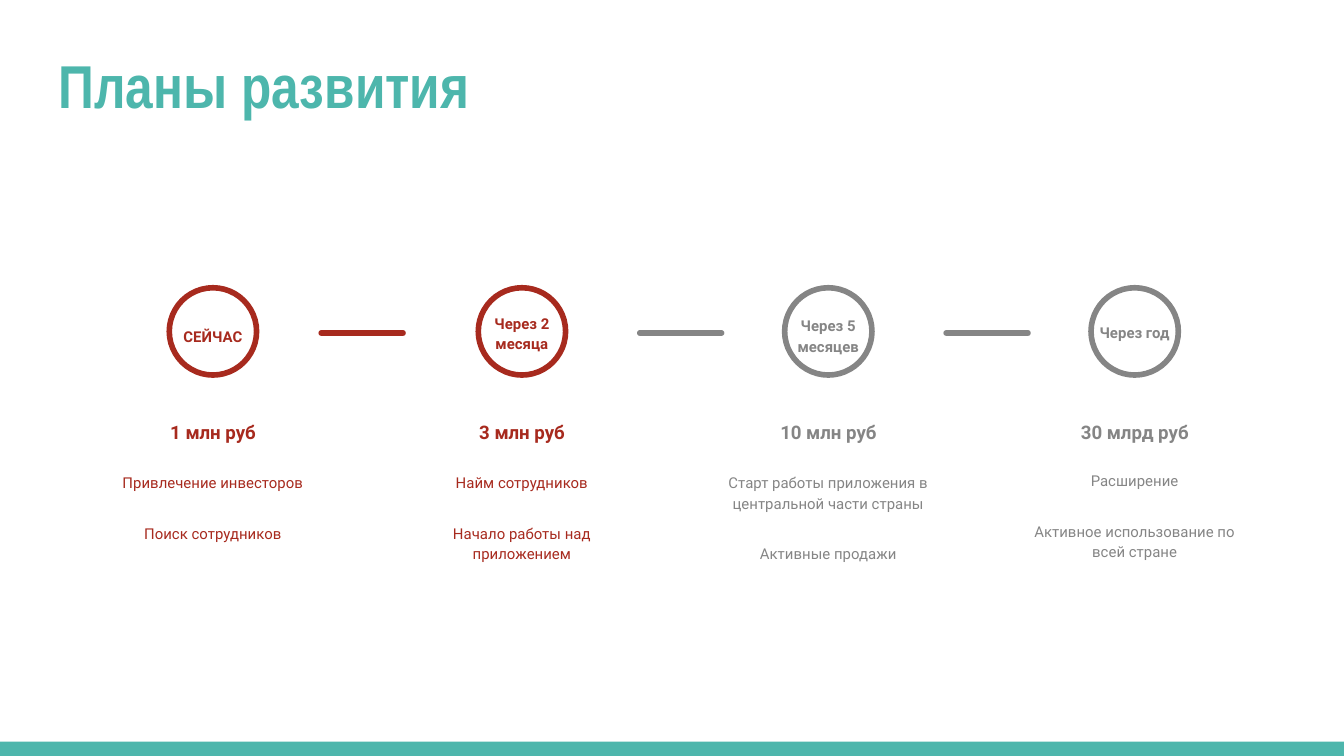
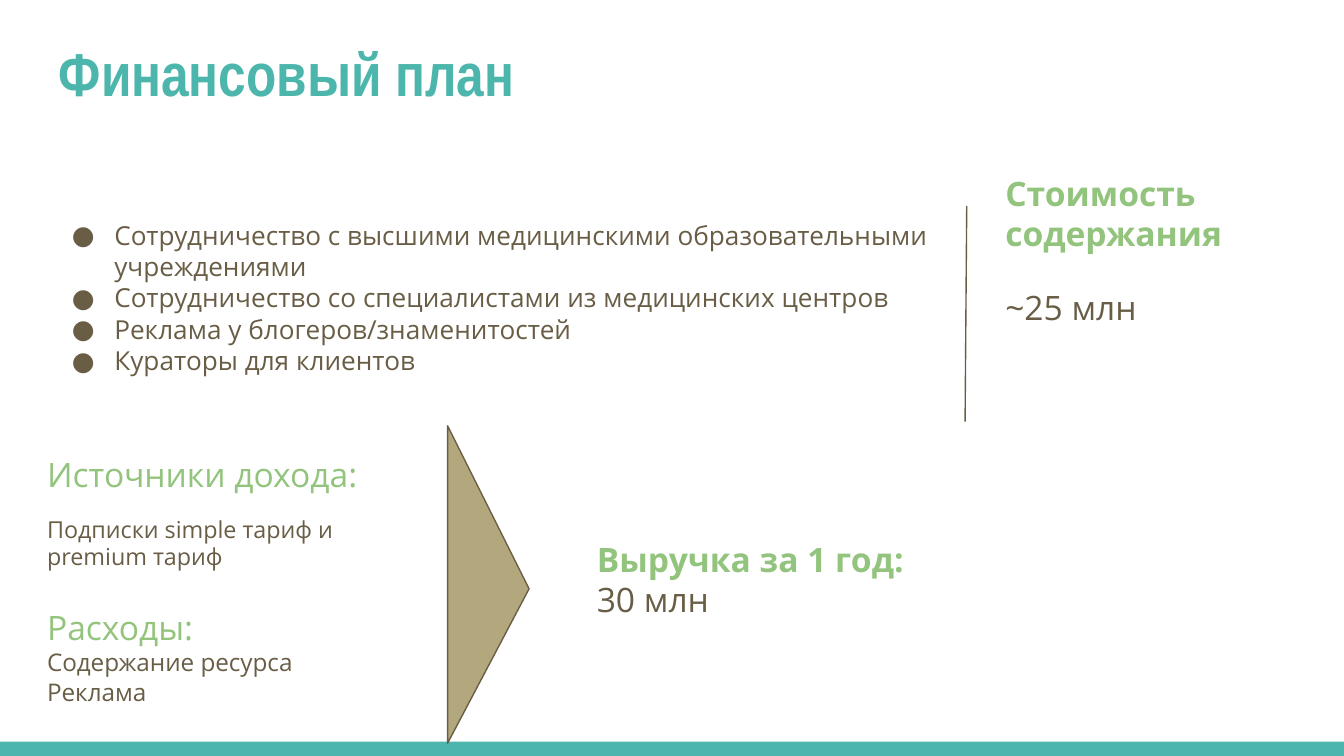
import pptx
import pptx.dml.color
import pptx.enum.shapes
import pptx.enum.text
import pptx.oxml
import pptx.util
from lxml import etree

Cm = pptx.util.Cm
Pt = pptx.util.Pt
MSO_SHAPE = pptx.enum.shapes.MSO_SHAPE
ANCHOR = pptx.enum.text.MSO_ANCHOR
ALIGN = pptx.enum.text.PP_ALIGN

TEAL, RED, GRAY = "4DB6AC", "A72A1E", "858585"
GREEN, BROWN, SAND = "93C47D", "695D46", "B3A77D"
TITLE_FONT, TIMELINE_FONT, FINANCE_FONT = "Arial Narrow", "Roboto", "Open Sans"
WIDTH, HEIGHT = 25.4, 14.29
TWO_CONTENT, TITLE_ONLY = 3, 5

COLUMN_WIDTH = 4.75
CIRCLE_SIZE, CIRCLE_TOP = 1.65, 5.44
LABEL_WIDTH = 1.88
# column left, label top, tasks top, colour, label, amount, tasks
MILESTONES = [
    (1.65, 5.89, 8.66, RED, "СЕЙЧАС", "1 млн руб",
     ["Привлечение инвесторов", "Поиск сотрудников"]),
    (7.49, 5.64, 8.66, RED, "Через 2 месяца", "3 млн руб",
     ["Найм сотрудников", "Начало работы над приложением"]),
    (13.28, 5.69, 8.66, GRAY, "Через 5 месяцев", "10 млн руб",
     ["Старт работы приложения в центральной части страны", "Активные продажи"]),
    (19.07, 5.82, 8.62, GRAY, "Через год", "30 млрд руб",
     ["Расширение", "Активное использование по всей стране"]),
]
DASHES = [(6.02, RED), (12.04, GRAY), (17.83, GRAY)]
PROMOTION = [
    "Сотрудничество с высшими медицинскими образовательными учреждениями",
    "Сотрудничество со специалистами из медицинских центров",
    "Реклама у блогеров/знаменитостей",
    "Кураторы для клиентов",
]


def rgb(hex_color):
    return pptx.dml.color.RGBColor.from_string(hex_color)


def place(shape, box):
    shape.left, shape.top, shape.width, shape.height = (Cm(v) for v in box)


def paint(shape, fill=None, line=None, weight=0.75):
    shape.shadow.inherit = False
    if fill:
        shape.fill.solid()
        shape.fill.fore_color.rgb = rgb(fill)
    else:
        shape.fill.background()
    if line:
        shape.line.color.rgb = rgb(line)
        shape.line.width = Pt(weight)
    else:
        shape.line.fill.background()


def add_preset(shapes, kind, box, **look):
    shape = shapes.add_shape(kind, *(Cm(v) for v in box))
    paint(shape, **look)
    return shape


def write(shape, lines, font, align=ALIGN.LEFT, spacing=1.0, anchor=ANCHOR.TOP):
    """Fill a shape with (text, size, colour, bold) lines and return its paragraphs."""
    frame = shape.text_frame
    frame.word_wrap = True
    frame.auto_size = pptx.enum.text.MSO_AUTO_SIZE.NONE
    frame.vertical_anchor = anchor
    frame.margin_left = frame.margin_right = Cm(0.25)
    frame.margin_top = frame.margin_bottom = Cm(0.25)
    frame.text = "\n".join(line[0] for line in lines)
    for paragraph, (_, size, color, bold) in zip(frame.paragraphs, lines):
        paragraph.alignment = align
        paragraph.line_spacing = spacing
        paragraph.space_before = paragraph.space_after = Pt(0)
        paragraph.font.name = font
        paragraph.font.size = Pt(size)
        paragraph.font.bold = bold
        paragraph.font.color.rgb = rgb(color)
    return frame.paragraphs


def add_text(shapes, box, lines, font, **layout):
    return write(shapes.add_textbox(*(Cm(v) for v in box)), lines, font, **layout)


def set_bullet(paragraph, color=None):
    """Give the paragraph a round bullet of this colour, or none."""
    properties = paragraph._p.get_or_add_pPr()
    properties.set("marL", str(Cm(1.27) if color else 0))
    properties.set("indent", str(Cm(-0.8) if color else 0))
    marks = ['<a:buNone {0}/>']
    if color:
        marks = ['<a:buClr {0}><a:srgbClr val="' + color + '"/></a:buClr>',
                 '<a:buFont {0} typeface="Open Sans"/>',
                 '<a:buChar {0} char="●"/>']
    following = properties.find(pptx.oxml.ns.qn("a:defRPr"))
    for mark in marks:
        following.addprevious(pptx.oxml.parse_xml(
            mark.format(pptx.oxml.ns.nsdecls("a"))))


def add_title(slide, text, top):
    place(slide.shapes.title, (0.86, top, 23.67, 1.96))
    write(slide.shapes.title, [(text, 32.4, TEAL, True)], TITLE_FONT)


def add_master_band(prs, slide):
    """Draw the bottom band and move it to the master, which all slides share."""
    band = add_preset(slide.shapes, MSO_SHAPE.RECTANGLE,
                      (0, 14.02, WIDTH, 0.27), fill=TEAL)
    prs.slide_master.element.cSld.spTree.insert(2, band.element)


def add_milestone(slide, left, label_top, tasks_top, color, label, amount, tasks):
    shapes = slide.shapes.add_group_shape().shapes
    centre = left + COLUMN_WIDTH / 2
    add_preset(shapes, MSO_SHAPE.OVAL,
               (centre - CIRCLE_SIZE / 2, CIRCLE_TOP, CIRCLE_SIZE, CIRCLE_SIZE),
               line=color, weight=3)
    style = {"font": TIMELINE_FONT, "align": ALIGN.CENTER, "spacing": 1.15}
    add_text(shapes, (centre - LABEL_WIDTH / 2, label_top, LABEL_WIDTH, 0.9),
             [(label, 8, color, True)], **style)
    add_text(shapes, (left, 7.39, COLUMN_WIDTH, 1.24),
             [(amount, 10, color, True)], anchor=ANCHOR.BOTTOM, **style)
    paragraphs = add_text(shapes, (left, tasks_top, COLUMN_WIDTH, 2.06),
                          [(task, 8, color, False) for task in tasks], **style)
    paragraphs[-1].space_before = Pt(16)


def build_roadmap(slide):
    add_title(slide, "Планы развития", 0.66)
    for milestone in MILESTONES:
        add_milestone(slide, *milestone)
    for left, color in DASHES:
        dash = add_preset(slide.shapes, MSO_SHAPE.ROUNDED_RECTANGLE,
                          (left, 6.24, CIRCLE_SIZE, 0.11), fill=color)
        dash.adjustments[0] = 0.5


def add_divider(slide, start, end):
    divider = slide.shapes.add_connector(
        pptx.enum.shapes.MSO_CONNECTOR.STRAIGHT, *(Cm(v) for v in start + end))
    divider.line.color.rgb = rgb(BROWN)
    divider.line.width = Pt(0.75)
    etree.SubElement(divider.element.spPr, pptx.oxml.ns.qn("a:effectLst"))


def add_revenue_arrow(slide, left, top, width, height):
    outline = slide.shapes.build_freeform(Cm(left), Cm(top))
    outline.add_line_segments([(Cm(left), Cm(top + height)),
                               (Cm(left + width), Cm(top + 3.08))])
    paint(outline.convert_to_shape(), fill=SAND, line=BROWN)


def build_finance(slide):
    add_title(slide, "Финансовый план", 0.43)
    income, promotion = slide.placeholders[1], slide.placeholders[2]

    place(income, (0.64, 8.38, 7.85, 2.67))
    paragraphs = write(income, [
        ("Источники дохода:", 18, GREEN, False),
        ("Подписки simple тариф и premium тариф", 12.5, BROWN, False),
    ], FINANCE_FONT, spacing=0.95)
    paragraphs[-1].space_before = Pt(12)
    for paragraph in paragraphs:
        set_bullet(paragraph)

    place(promotion, (0.64, 3.89, 17.63, 3.51))
    for paragraph in write(promotion, [(way, 14, BROWN, False) for way in PROMOTION],
                           FINANCE_FONT):
        set_bullet(paragraph, BROWN)

    add_text(slide.shapes, (0.64, 11.23, 5.89, 2.39), [
        ("Расходы:", 18, GREEN, False),
        ("Содержание ресурса", 13, BROWN, False),
        ("Реклама", 13, BROWN, False),
    ], FINANCE_FONT)
    add_revenue_arrow(slide, 8.46, 8.05, 1.54, 6)
    add_text(slide.shapes, (11.03, 9.93, 6.83, 2.06), [
        ("Выручка за 1 год:", 18, GREEN, True),
        ("30 млн", 18, BROWN, False),
    ], FINANCE_FONT)
    add_divider(slide, (18.27, 3.89), (18.24, 7.97))
    add_text(slide.shapes, (18.75, 3.02, 5.61, 2.06),
             [("Стоимость содержания", 18, GREEN, True)], FINANCE_FONT)
    add_text(slide.shapes, (18.75, 5.18, 6.17, 1.27),
             [("~25 млн", 18, BROWN, False)], FINANCE_FONT)


def main():
    prs = pptx.Presentation()
    prs.slide_width, prs.slide_height = Cm(WIDTH), Cm(HEIGHT)
    roadmap = prs.slides.add_slide(prs.slide_layouts[TITLE_ONLY])
    add_master_band(prs, roadmap)
    build_roadmap(roadmap)
    build_finance(prs.slides.add_slide(prs.slide_layouts[TWO_CONTENT]))
    prs.save("out.pptx")


if __name__ == "__main__":
    main()
